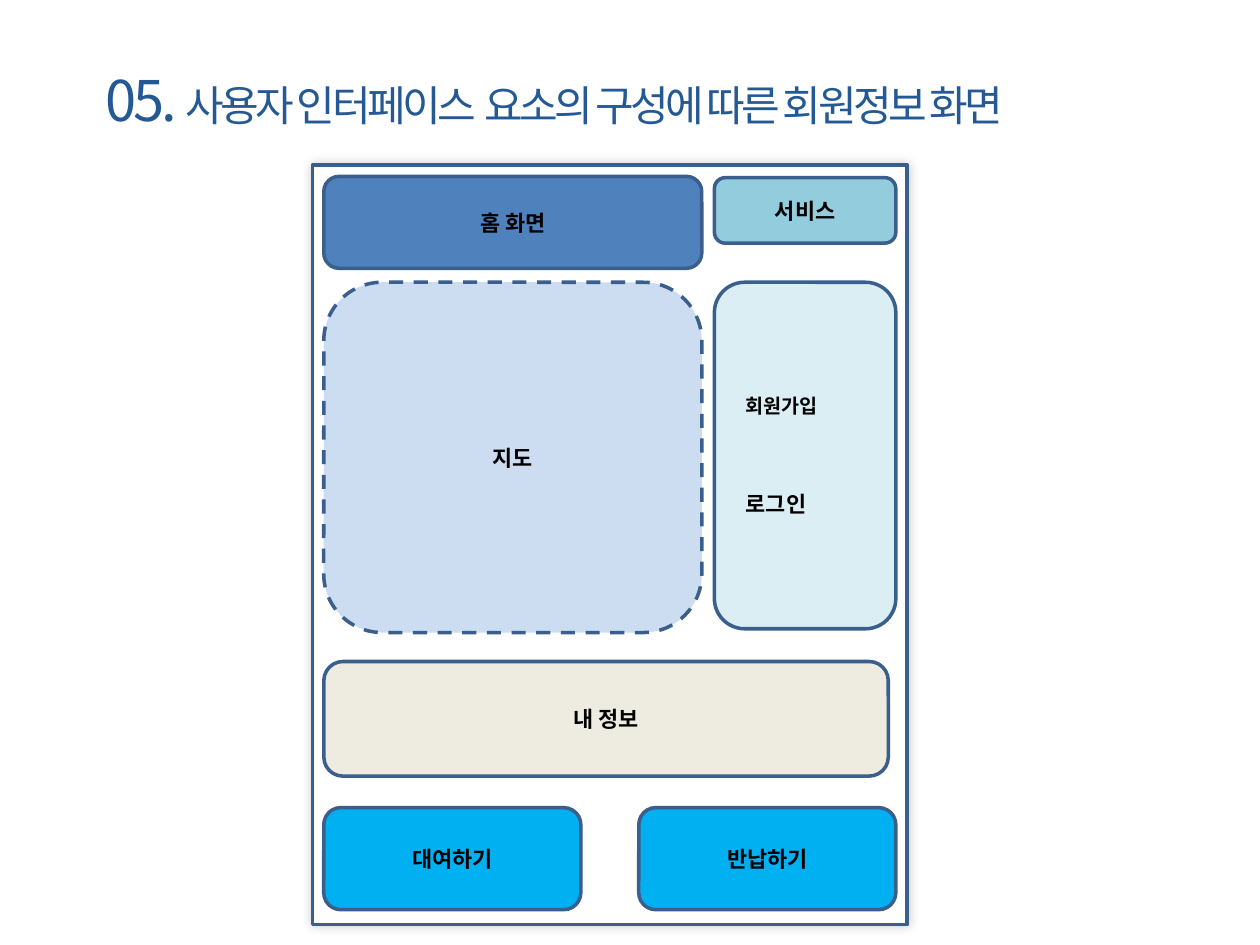
from lxml import etree
from pptx import Presentation
from pptx.dml.color import RGBColor
from pptx.enum.dml import MSO_LINE
from pptx.enum.shapes import MSO_SHAPE
from pptx.enum.text import MSO_ANCHOR, PP_ALIGN
from pptx.oxml.ns import qn
from pptx.util import Inches, Pt

RECTANGLE, ROUNDED = MSO_SHAPE.RECTANGLE, MSO_SHAPE.ROUNDED_RECTANGLE
MIDDLE = MSO_ANCHOR.MIDDLE
LEFT, CENTER = PP_ALIGN.LEFT, PP_ALIGN.CENTER
DASH = MSO_LINE.DASH

FONT = "Noto Sans CJK KR"
OUTLINE, BLACK, TITLE_BLUE = "3A5F8C", "000000", "255994"
ACTION_BLUE = "00B0F0"

# Columns and rows of the screen layout, in inches
COL_LEFT, COL_RIGHT = 2.57, 5.67
MAIN_WIDTH, SIDE_WIDTH = 3, 1.44
BUTTON_WIDTH, BUTTON_HEIGHT = 2.04, 0.81
BODY_TOP, BUTTON_TOP = 2.24, 6.41


def color(value):
    return RGBColor.from_string(value)


def style_paragraph(para, size, ink, bold=False, align=CENTER):
    para.alignment = align
    font = para.font
    font.name, font.size, font.bold = FONT, Pt(size), bold
    font.color.rgb = color(ink)
    # Korean glyphs take the East Asian typeface
    latin = para._p.pPr.find(qn("a:defRPr")).find(qn("a:latin"))
    east_asian = etree.Element(qn("a:ea"), typeface=FONT)
    latin.addnext(east_asian)


def add_panel(page, left, top, width, height, fill, shape=ROUNDED):
    panel = page.shapes.add_shape(
        shape, Inches(left), Inches(top), Inches(width), Inches(height))
    panel.shadow.inherit = False
    panel.fill.solid()
    panel.fill.fore_color.rgb = color(fill)
    panel.line.color.rgb = color(OUTLINE)
    panel.line.width = Pt(2)
    return panel


def add_labelled_panel(page, label, *geometry_and_fill):
    panel = add_panel(page, *geometry_and_fill)
    panel.text_frame.vertical_anchor = MIDDLE
    para = panel.text_frame.paragraphs[0]
    para.text = label
    style_paragraph(para, 12.5, BLACK, bold=True)
    return panel


def add_soft_shadow(panel):
    effects = panel._element.spPr.find(qn("a:effectLst"))
    shadow = etree.SubElement(effects, qn("a:outerShdw"), blurRad=str(Pt(6)),
                              dist="0", dir="18900000", rotWithShape="0")
    tint = etree.SubElement(shadow, qn("a:srgbClr"), val=BLACK)
    etree.SubElement(tint, qn("a:alpha"), val="20000")


def set_opacity(panel, percent):
    tint = panel._element.spPr.find(qn("a:solidFill")).find(qn("a:srgbClr"))
    etree.SubElement(tint, qn("a:alpha"), val=str(percent * 1000))


def set_title(page):
    title = page.shapes.title
    title.left, title.top = Inches(0.74), Inches(0.47)
    title.width, title.height = Inches(9.2), Inches(0.64)
    frame = title.text_frame
    frame.word_wrap = True
    frame.vertical_anchor = MIDDLE
    para = frame.paragraphs[0]
    style_paragraph(para, 24, TITLE_BLUE, align=LEFT)
    parts = [("05. ", 32), ("사용자 인터페이스  요소의 구성에 따른 회원정보 화면", 24)]
    for text, size in parts:
        span = para.add_run()
        span.text = text
        span.font.size = Pt(size)
        span.font.name = FONT
        span.font.color.rgb = color(TITLE_BLUE)
        properties = span._r.get_or_add_rPr()
        properties.set("spc", "-200")
        east_asian = etree.Element(qn("a:ea"), typeface=FONT)
        properties.find(qn("a:latin")).addnext(east_asian)


def add_member_menu(page):
    menu = add_panel(page, COL_RIGHT, BODY_TOP, SIDE_WIDTH, 2.75, "DBEEF4")
    frame = menu.text_frame
    frame.vertical_anchor = MIDDLE
    frame.margin_left = Inches(0.18)
    sign_up, log_in = frame.paragraphs[0], frame.add_paragraph()
    sign_up.text, log_in.text = "회원가입", "로그인"
    log_in.space_before = Pt(42)
    style_paragraph(sign_up, 11.2, BLACK, bold=True, align=LEFT)
    style_paragraph(log_in, 12.5, BLACK, bold=True, align=LEFT)


def main():
    deck = Presentation()
    deck.slide_width, deck.slide_height = Inches(10), Inches(7.5)
    page = deck.slides.add_slide(deck.slide_layouts[5])
    set_title(page)

    # Screen frame
    screen = add_panel(page, 2.48, 1.31, 4.72, 6.03, "FFFFFF", RECTANGLE)
    add_soft_shadow(screen)

    # Header row
    add_labelled_panel(page, "홈 화면", COL_LEFT, 1.4, MAIN_WIDTH, 0.73, "4F81BD")
    add_labelled_panel(page, "서비스", COL_RIGHT, 1.41, SIDE_WIDTH, 0.52, "93CDDD")

    # Map and member menu
    map_area = add_labelled_panel(
        page, "지도", COL_LEFT, BODY_TOP, MAIN_WIDTH, 2.78, "C6D9F1")
    map_area.line.dash_style = DASH
    set_opacity(map_area, 89)
    add_member_menu(page)

    # My information
    add_labelled_panel(page, "내 정보", COL_LEFT, 5.25, 4.48, 0.91, "EEECE1")

    # Rent and return buttons, flush with the outer column edges
    right_button = COL_RIGHT + SIDE_WIDTH - BUTTON_WIDTH
    for label, left in (("대여하기", COL_LEFT), ("반납하기", right_button)):
        add_labelled_panel(page, label, left, BUTTON_TOP,
                           BUTTON_WIDTH, BUTTON_HEIGHT, ACTION_BLUE)

    deck.save("out.pptx")


if __name__ == "__main__":
    main()
